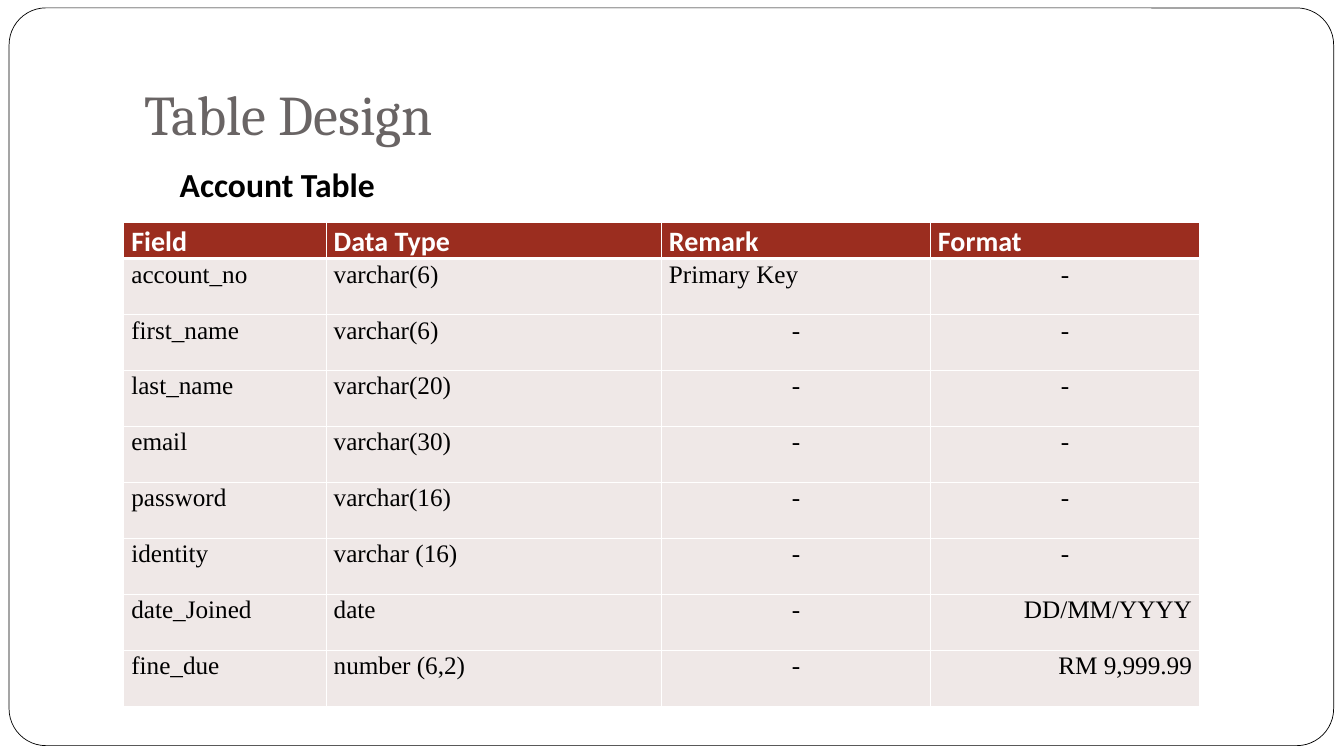
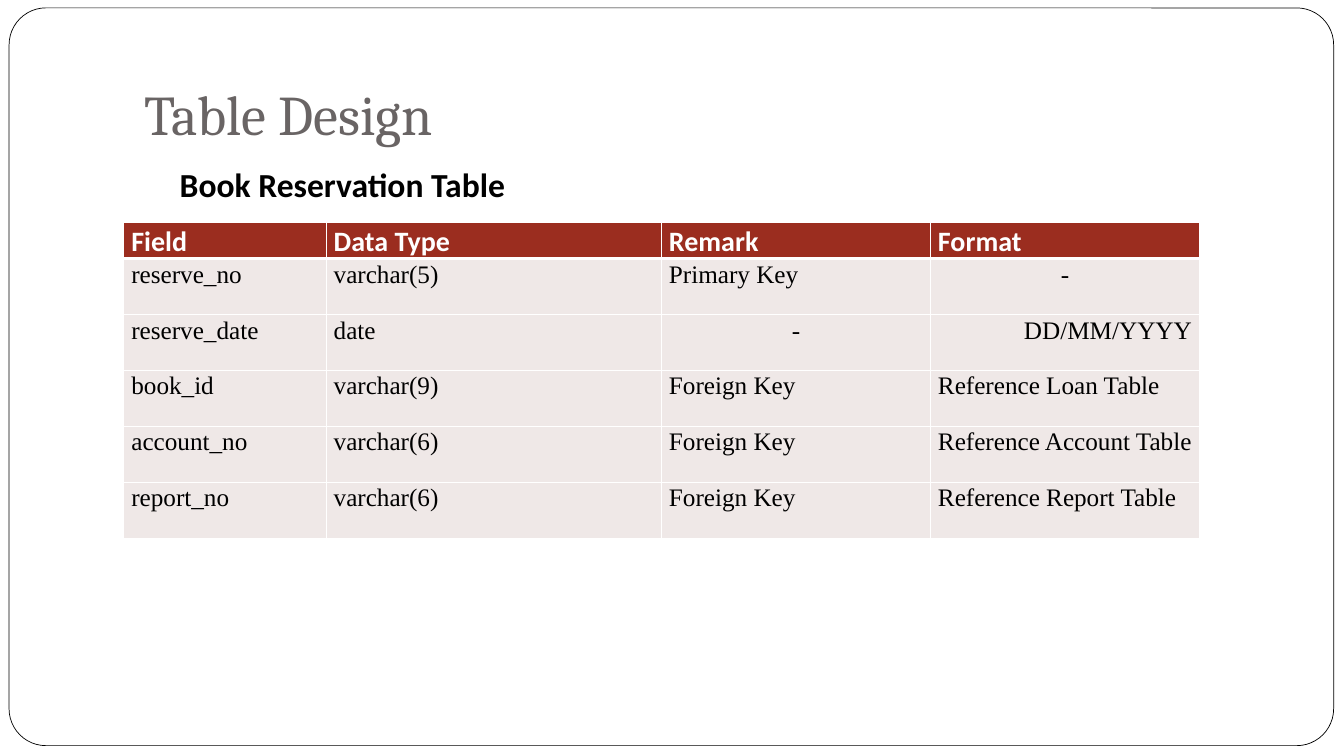
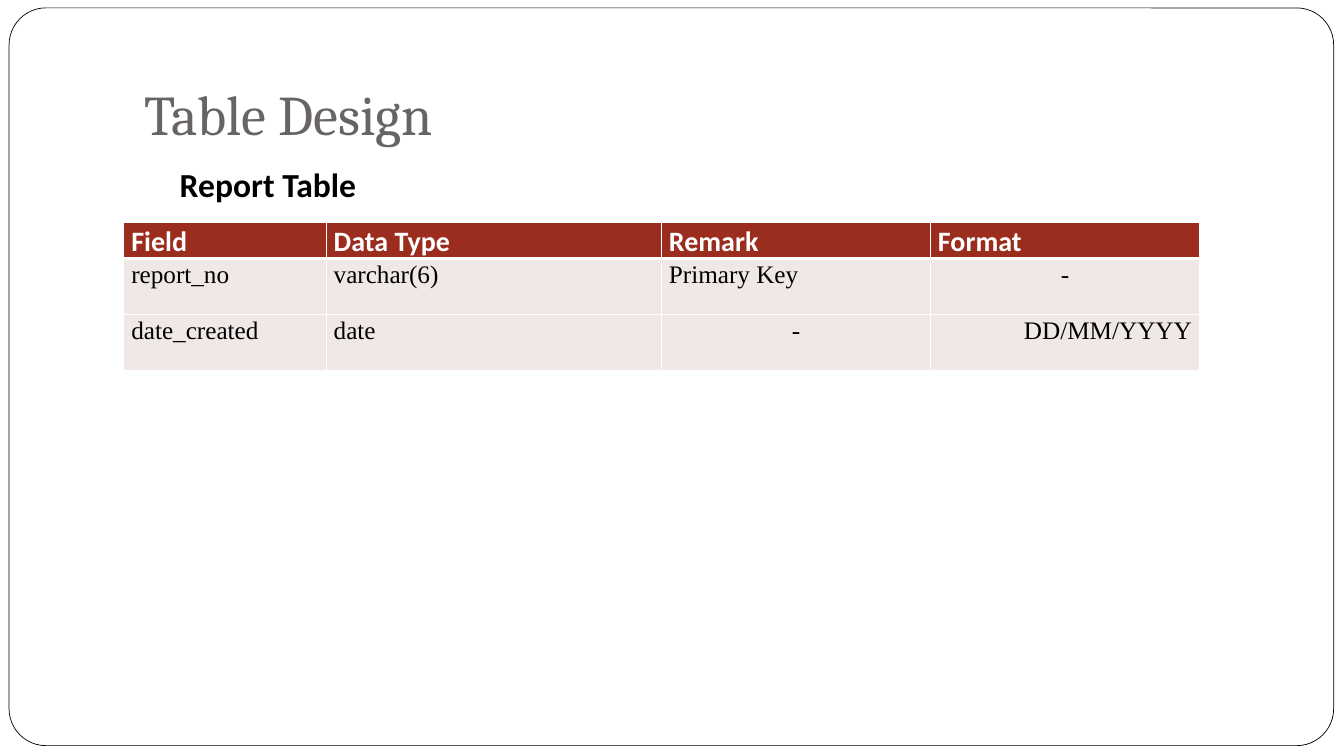
from dataclasses import dataclass

from lxml import etree
from pptx import Presentation
from pptx.dml.color import RGBColor
from pptx.enum.shapes import MSO_SHAPE
from pptx.enum.text import MSO_ANCHOR, PP_ALIGN
from pptx.oxml.ns import qn
from pptx.slide import Slide
from pptx.table import _Cell
from pptx.text.text import _Paragraph
from pptx.util import Cm, Pt

ROUNDED = MSO_SHAPE.ROUNDED_RECTANGLE
TOP, BOTTOM = MSO_ANCHOR.TOP, MSO_ANCHOR.BOTTOM
LEFT, CENTER, RIGHT = PP_ALIGN.LEFT, PP_ALIGN.CENTER, PP_ALIGN.RIGHT

COLORS = {
    "paper": "FFFFFF",
    "ink": "000000",
    "title": "696464",
    "header": "9B2D1F",
    "body": "EFE8E7",
}


@dataclass(frozen=True)
class TextStyle:
    font: str
    size: float
    color: str
    bold: bool = False


@dataclass(frozen=True)
class TextArea:
    top: float
    height: float
    style: TextStyle
    anchor: MSO_ANCHOR
    indent: float
    bottom_inset: float
    space_before: float


@dataclass(frozen=True)
class RowStyle:
    text: TextStyle
    fill: str
    borders: dict[str, float]


@dataclass(frozen=True)
class Schema:
    heading: str
    fields: list[tuple[str, str, str, str]]


TITLE_AREA = TextArea(0.76, 3.18, TextStyle("Cambria", 40, "title"),
                      BOTTOM, 0.25, 0.25, 0)
HEADING_AREA = TextArea(4.01, 12.7, TextStyle("Calibri", 24, "ink", True),
                        TOP, 1.14, 0.13, 3.7)

HEADER_ROW = RowStyle(TextStyle("Calibri", 20, "paper", True), "header",
                      {"a:lnL": 1, "a:lnR": 1, "a:lnT": 1, "a:lnB": 3})
BODY_ROW = RowStyle(TextStyle("Times New Roman", 18, "ink"), "body",
                    {"a:lnL": 1, "a:lnR": 1, "a:lnB": 1})

COLUMN_NAMES = ("Field", "Data Type", "Remark", "Format")
COLUMN_WIDTHS = (5.1, 8.45, 6.78, 6.78)
HEADER_HEIGHT, FIELD_HEIGHT = 0.71, 1.41
CELL_MARGINS = {"margin_left": Cm(0.19), "margin_right": Cm(0.19),
                "margin_top": 0, "margin_bottom": 0}

DATE_FORMAT, MONEY_FORMAT = "DD/MM/YYYY", "RM 9,999.99"
ALIGNMENTS = {"-": CENTER, DATE_FORMAT: RIGHT, MONEY_FORMAT: RIGHT}

SCHEMAS = [
    Schema("Account Table", [
        ("account_no", "varchar(6)", "Primary Key", "-"),
        ("first_name", "varchar(6)", "-", "-"),
        ("last_name", "varchar(20)", "-", "-"),
        ("email", "varchar(30)", "-", "-"),
        ("password", "varchar(16)", "-", "-"),
        ("identity", "varchar (16)", "-", "-"),
        ("date_Joined", "date", "-", DATE_FORMAT),
        ("fine_due", "number (6,2)", "-", MONEY_FORMAT),
    ]),
    Schema("Book Reservation Table", [
        ("reserve_no", "varchar(5)", "Primary Key", "-"),
        ("reserve_date", "date", "-", DATE_FORMAT),
        ("book_id", "varchar(9)", "Foreign Key", "Reference Loan Table"),
        ("account_no", "varchar(6)", "Foreign Key", "Reference Account Table"),
        ("report_no", "varchar(6)", "Foreign Key", "Reference Report Table"),
    ]),
    Schema("Report Table", [
        ("report_no", "varchar(6)", "Primary Key", "-"),
        ("date_created", "date", "-", DATE_FORMAT),
    ]),
]


def rgb(name: str) -> RGBColor:
    return RGBColor.from_string(COLORS[name])


def write(paragraph: _Paragraph, text: str, style: TextStyle) -> None:
    run = paragraph.add_run()
    run.text = text
    font_values = {"name": style.font, "size": Pt(style.size), "bold": style.bold}
    for attribute, value in font_values.items():
        setattr(run.font, attribute, value)
    run.font.color.rgb = rgb(style.color)


def draw_frame(slide: Slide) -> None:
    frame = slide.shapes.add_shape(ROUNDED, Cm(0.23), Cm(0.2), Cm(33.38), Cm(18.59))
    frame.adjustments[0] = 0.05
    frame.shadow.inherit = False
    frame.fill.solid()
    frame.fill.fore_color.rgb = rgb("paper")
    frame.line.color.rgb = rgb("ink")
    frame.line.width = Pt(0.5)


def draw_text(slide: Slide, text: str, area: TextArea) -> None:
    box = slide.shapes.add_textbox(Cm(3.39), Cm(area.top), Cm(28.79), Cm(area.height))
    frame_values = {"word_wrap": True, "vertical_anchor": area.anchor,
                    "margin_left": Cm(area.indent),
                    "margin_bottom": Cm(area.bottom_inset)}
    for attribute, value in frame_values.items():
        setattr(box.text_frame, attribute, value)
    paragraph = box.text_frame.paragraphs[0]
    paragraph.space_before = Pt(area.space_before)
    write(paragraph, text, area.style)


def set_borders(cell: _Cell, borders: dict[str, float]) -> None:
    """Put white border lines, in the order the schema asks, before the fill."""
    properties = cell._tc.get_or_add_tcPr()
    for position, (side, width) in enumerate(borders.items()):
        line = etree.Element(qn(side), w=str(Pt(width)))
        fill = etree.SubElement(line, qn("a:solidFill"))
        etree.SubElement(fill, qn("a:srgbClr"), val=COLORS["paper"])
        properties.insert(position, line)


def fill_cell(cell: _Cell, text: str, style: RowStyle) -> None:
    for attribute, value in CELL_MARGINS.items():
        setattr(cell, attribute, value)
    cell.fill.solid()
    cell.fill.fore_color.rgb = rgb(style.fill)
    set_borders(cell, style.borders)
    paragraph = cell.text_frame.paragraphs[0]
    paragraph.alignment = ALIGNMENTS.get(text, LEFT)
    paragraph.line_spacing = 1.07
    write(paragraph, text, style.text)


def draw_schema(slide: Slide, schema: Schema) -> None:
    rows = [COLUMN_NAMES, *schema.fields]
    height = HEADER_HEIGHT + FIELD_HEIGHT * len(schema.fields)
    table = slide.shapes.add_table(
        len(rows), len(COLUMN_NAMES), Cm(3.12), Cm(5.61),
        Cm(sum(COLUMN_WIDTHS)), Cm(height)).table
    table.horz_banding = False
    for column, width in zip(table.columns, COLUMN_WIDTHS):
        column.width = Cm(width)
    for index, texts in enumerate(rows):
        is_header = index == 0
        table.rows[index].height = Cm(HEADER_HEIGHT if is_header else FIELD_HEIGHT)
        for cell, text in zip(table.rows[index].cells, texts):
            fill_cell(cell, text, HEADER_ROW if is_header else BODY_ROW)


def main() -> None:
    deck = Presentation()
    deck.slide_width, deck.slide_height = Cm(33.87), Cm(19.05)
    blank = deck.slide_layouts[6]
    for schema in SCHEMAS:
        slide = deck.slides.add_slide(blank)
        draw_frame(slide)
        draw_text(slide, "Table Design", TITLE_AREA)
        draw_text(slide, schema.heading, HEADING_AREA)
        draw_schema(slide, schema)
    deck.save("out.pptx")


if __name__ == "__main__":
    main()
